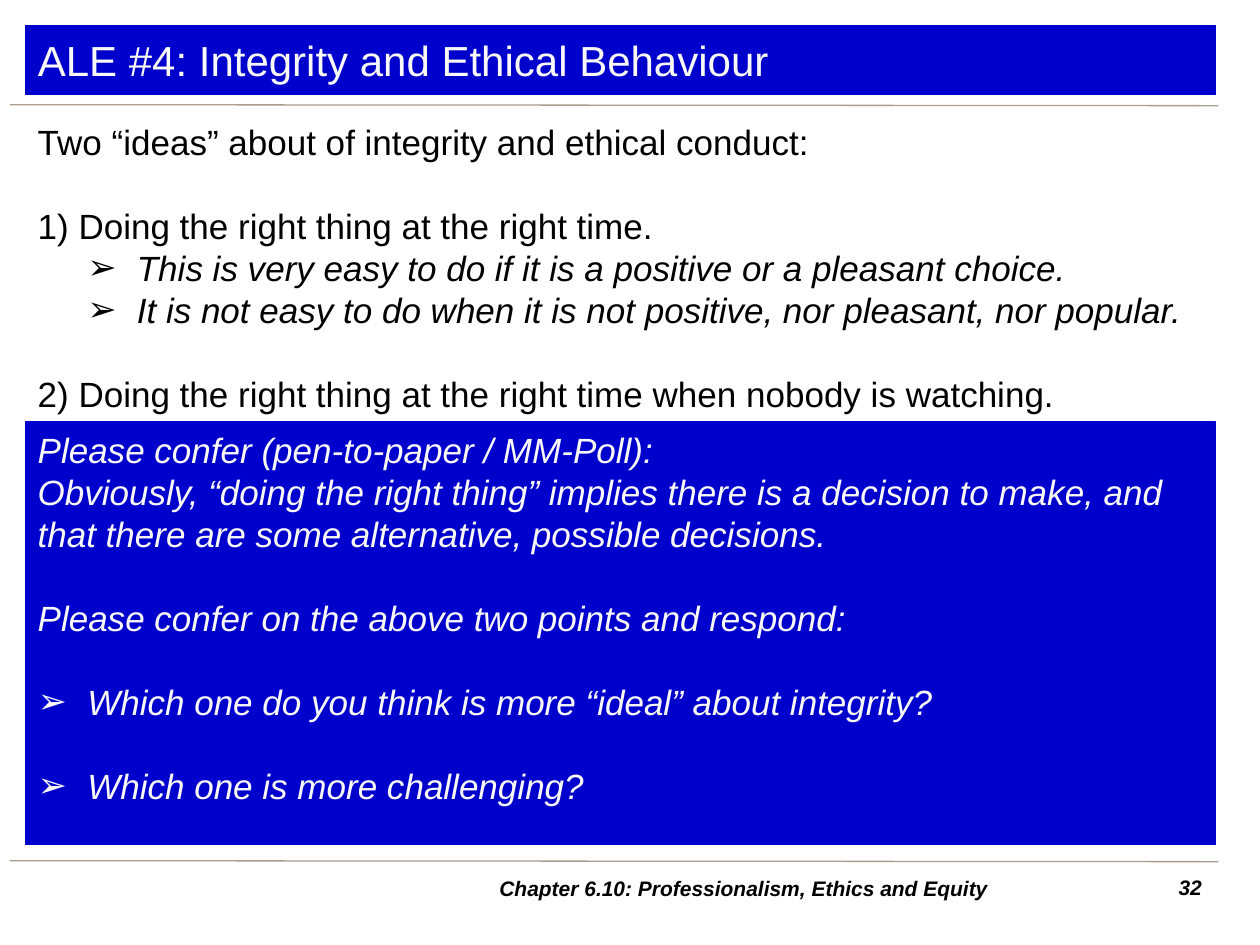
from dataclasses import dataclass

from lxml.etree import SubElement
from pptx import Presentation
from pptx.dml.color import RGBColor
from pptx.enum.shapes import MSO_CONNECTOR as Connector, MSO_SHAPE as Preset
from pptx.enum.text import MSO_ANCHOR as Anchor, PP_ALIGN as Align
from pptx.oxml.ns import qn
from pptx.util import Cm, Pt

BLUE, WHITE, BLACK, RULE = "0000CC", "F8F8F8", "000000", "AA9C8F"
LEFT, WIDTH = 0.51, 24.0
LINE_HEIGHT = 24
HANGING = 1.0


@dataclass
class Line:
    text: str
    italic: bool = False
    bold: bool = False
    size: int = 20
    indent: float = 0
    bullet: bool = False
    gap: bool = False
    align: Align = Align.LEFT


def rgb(value: str) -> RGBColor:
    return RGBColor.from_string(value)


def add_bullet(paragraph, indent: float) -> None:
    properties = paragraph._p.get_or_add_pPr()
    properties.set("marL", str(Cm(indent)))
    properties.set("indent", str(-Cm(HANGING)))
    SubElement(properties, qn("a:buFont"), typeface="Arial")
    SubElement(properties, qn("a:buChar"), char="➢")


def write(shape, lines: list[Line], color: str, anchor: Anchor = Anchor.TOP) -> None:
    frame = shape.text_frame
    frame.word_wrap = True
    frame.vertical_anchor = anchor
    for index, line in enumerate(lines):
        paragraph = frame.paragraphs[0] if index == 0 else frame.add_paragraph()
        paragraph.text = line.text
        paragraph.alignment = line.align
        paragraph.space_before = Pt(LINE_HEIGHT if line.gap else 0)
        if line.size == 20:
            paragraph.line_spacing = Pt(LINE_HEIGHT)
        if line.bullet:
            add_bullet(paragraph, line.indent)
        font = paragraph.font
        font.name, font.size = "Arial", Pt(line.size)
        font.bold, font.italic = line.bold, line.italic
        font.color.rgb = rgb(color)


def paint(shape) -> None:
    shape.fill.solid()
    shape.fill.fore_color.rgb = rgb(BLUE)
    shape.line.color.rgb = rgb(BLUE)
    shape.line.width = Pt(0.75)


def add_rule(slide, top: float) -> None:
    rule = slide.shapes.add_connector(
        Connector.STRAIGHT, Cm(0.2), Cm(top), Cm(24.56), Cm(top + 0.02))
    rule.line.color.rgb = rgb(RULE)
    rule.line.width = Pt(0.75)
    SubElement(rule._element.spPr, qn("a:effectLst"))


def add_text(slide, left: float, top: float, width: float, height: float,
             lines: list[Line], anchor: Anchor = Anchor.TOP) -> None:
    box = slide.shapes.add_textbox(Cm(left), Cm(top), Cm(width), Cm(height))
    write(box, lines, BLACK, anchor)


IDEAS = [
    Line("Two “ideas” about of integrity and ethical conduct:"),
    Line("1) Doing the right thing at the right time.", gap=True),
    Line("This is very easy to do if it is a positive or a pleasant choice.",
         italic=True, indent=2, bullet=True),
    Line("It is not easy to do when it is not positive, nor pleasant, nor popular.",
         italic=True, indent=2, bullet=True),
    Line("2) Doing the right thing at the right time when nobody is watching.", gap=True),
]
QUESTIONS = [
    Line("Please confer (pen-to-paper / MM-Poll):", italic=True),
    Line("Obviously, “doing the right thing” implies there is a decision to make, "
         "and that there are some alternative, possible decisions.", italic=True),
    Line("Please confer on the above two points and respond:", italic=True, gap=True),
    Line("Which one do you think is more “ideal” about integrity?",
         italic=True, indent=1, bullet=True, gap=True),
    Line("Which one is more challenging?", italic=True, indent=1, bullet=True, gap=True),
]


def main() -> None:
    deck = Presentation()
    deck.slide_width, deck.slide_height = Cm(25.4), Cm(19.05)
    slide = deck.slides.add_slide(deck.slide_layouts[5])

    title = slide.shapes.title
    title.left, title.top, title.width, title.height = Cm(LEFT), Cm(0.51), Cm(WIDTH), Cm(1.4)
    paint(title)
    write(title, [Line("ALE #4: Integrity and Ethical Behaviour", size=24)], WHITE, Anchor.MIDDLE)

    for top in (2.11, 17.35):
        add_rule(slide, top)

    add_text(slide, LEFT, 2.31, WIDTH, 14.81, IDEAS)

    panel = slide.shapes.add_shape(Preset.RECTANGLE, Cm(LEFT), Cm(8.51), Cm(WIDTH), Cm(8.51))
    panel.shadow.inherit = False
    paint(panel)
    write(panel, QUESTIONS, WHITE)

    add_text(slide, 23.01, 17.5, 1.47, 0.79,
             [Line("32", italic=True, bold=True, size=12, align=Align.RIGHT)])
    add_text(slide, 7.49, 17.5, 15.01, 0.79,
             [Line("Chapter 6.10: Professionalism, Ethics and Equity",
                   italic=True, bold=True, size=12, align=Align.CENTER)], Anchor.MIDDLE)

    deck.save("out.pptx")


if __name__ == "__main__":
    main()
